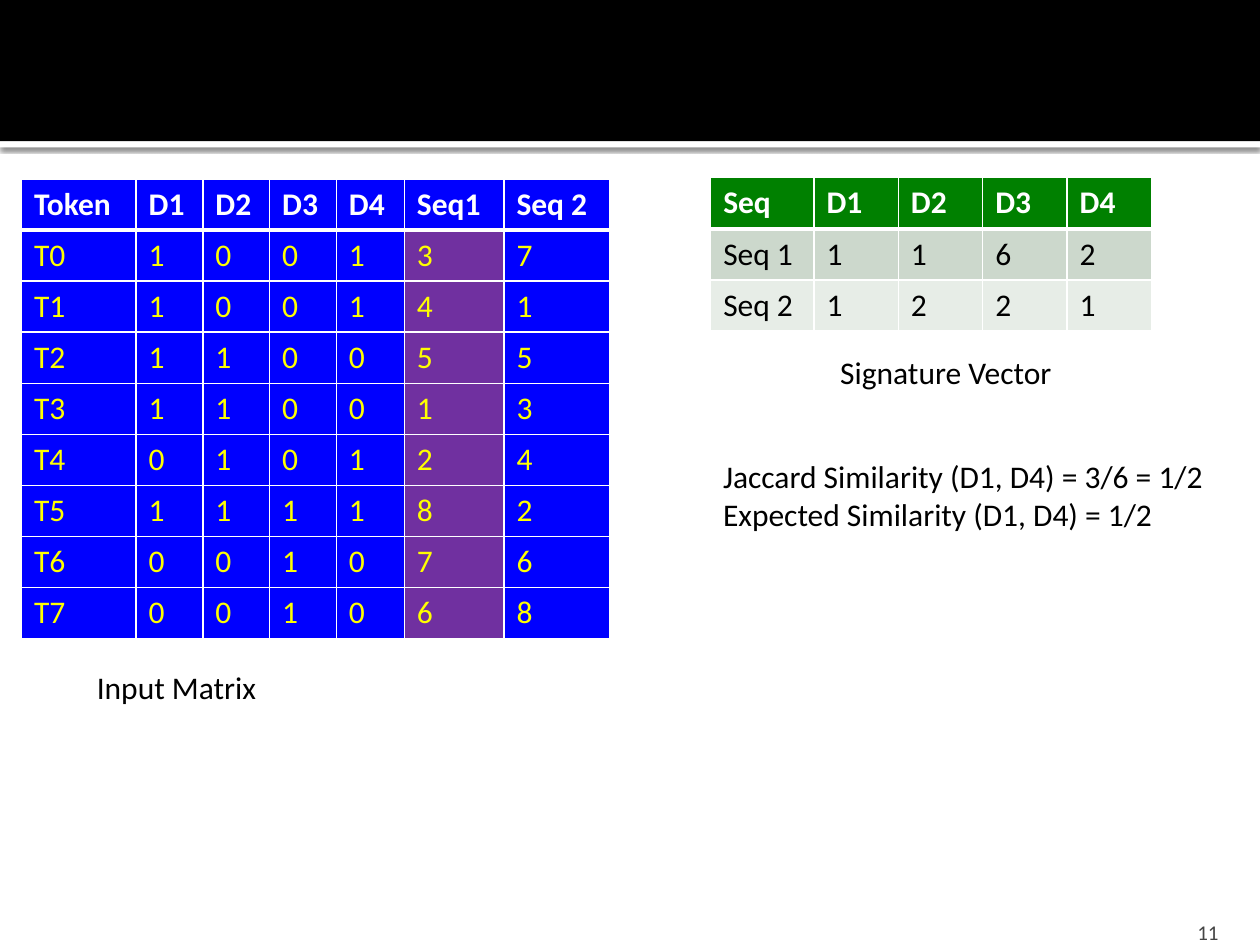
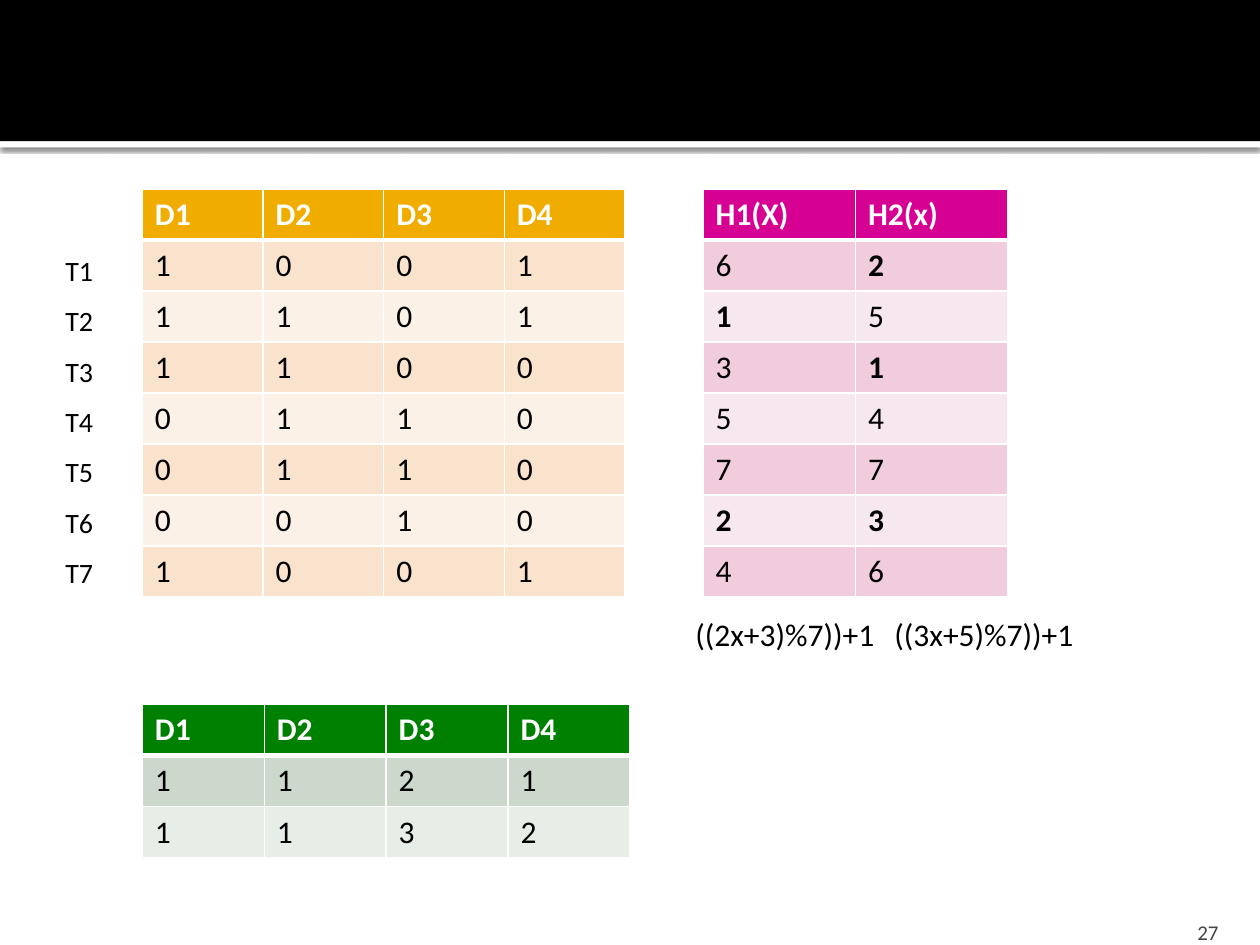
from lxml import etree
from pptx import Presentation, util as u
from pptx.dml.color import RGBColor
from pptx.enum import shapes, text
from pptx.oxml import ns, parse_xml

FONT = "Calibri"
COLORS = {
    "black": "000000", "white": "FFFFFF", "gray": "454545",
    "blue": "0000FF", "yellow": "FFFF00", "purple": "7030A0",
    "green": "008000", "green_dark": "CCD8CC", "green_light": "E7EDE7",
    "orange": "F0AD00", "orange_dark": "F9E3CC", "orange_light": "FCF1E7",
    "pink": "D60093", "pink_dark": "F0CCDC", "pink_light": "F7E7EE",
}
# Each table style: header fill followed by the alternating body fills.
GREEN = ("green", "green_dark", "green_light")
ORANGE = ("orange", "orange_dark", "orange_light")
PINK = ("pink", "pink_dark", "pink_light")
BLUE = ("blue", "blue", "blue")

INPUT_MATRIX = """Token,D1,D2,D3,D4,Seq1,Seq 2
T0,1,0,0,1,3,7
T1,1,0,0,1,4,1
T2,1,1,0,0,5,5
T3,1,1,0,0,1,3
T4,0,1,0,1,2,4
T5,1,1,1,1,8,2
T6,0,0,1,0,7,6
T7,0,0,1,0,6,8"""
SIGNATURES = """Seq,D1,D2,D3,D4
Seq 1,1,1,6,2
Seq 2,1,2,2,1"""
DOCUMENTS = """D1,D2,D3,D4
1,0,0,1
1,1,0,1
1,1,0,0
0,1,1,0
0,1,1,0
0,0,1,0
1,0,0,1"""
HASHES = """H1(X),H2(x)
6,2
1,5
3,1
5,4
7,7
2,3
4,6"""
MINIMUM_HASHES = {(1, 1), (2, 0), (3, 1), (6, 0), (6, 1)}
HASH_SIGNATURES = """D1,D2,D3,D4
1,1,2,1
1,1,3,2"""


def rgb(name):
    return RGBColor.from_string(COLORS[name])


def write(frame, content, size=18, color="black", bold=False, align=None, spacing=None):
    """Fill a text frame, one paragraph for each line of content."""
    for index, line in enumerate(content.split("\n")):
        para = frame.add_paragraph() if index else frame.paragraphs[0]
        para.alignment = align
        para.line_spacing = spacing
        span = para.add_run()
        span.text = line
        span.font.name = FONT
        span.font.size = u.Pt(size)
        span.font.bold = bold
        span.font.color.rgb = rgb(color)


def add_text(page, content, left, top, width, height, **style):
    box = page.shapes.add_textbox(*map(u.Inches, (left, top, width, height)))
    box.text_frame.word_wrap = True
    write(box.text_frame, content, **style)
    return box


def add_band(page, top, height, color):
    band = page.shapes.add_shape(
        shapes.MSO_SHAPE.RECTANGLE, *map(u.Inches, (0, top, 10, height)))
    band.shadow.inherit = False
    band.fill.solid()
    band.fill.fore_color.rgb = rgb(color)
    band.line.fill.background()
    return band


def add_drop_shadow(shape):
    effects = shape._element.spPr.find(ns.qn("a:effectLst"))
    effects.append(parse_xml(
        f'<a:outerShdw {ns.nsdecls("a")} blurRad="{u.Pt(2.5)}" dist="{u.Pt(0.8)}" '
        f'dir="5400000" algn="tl" rotWithShape="0"><a:srgbClr val="{COLORS["black"]}">'
        '<a:alpha val="60000"/></a:srgbClr></a:outerShdw>'))


def add_page(deck, number):
    """Add a blank page with the header bands and its page number."""
    page = deck.slides.add_slide(deck.slide_layouts[6])
    add_drop_shadow(add_band(page, 1.12, 0.05, "white"))
    add_band(page, 0, 1.12, "black")
    box = add_text(page, str(number), 8.97, 7.2, 0.8, 0.3, size=12, color="gray",
                   align=text.PP_ALIGN.RIGHT)
    box.text_frame.vertical_anchor = text.MSO_ANCHOR.BOTTOM
    box.text_frame.margin_bottom = 0
    return page


def set_borders(cell, row):
    """Draw white cell borders, thick between the header and the body."""
    properties = cell._tc.get_or_add_tcPr()
    widths = {"L": 1, "R": 1, "T": 3 if row == 1 else 1, "B": 3 if row == 0 else 1}
    for side, width in widths.items():
        line = etree.SubElement(properties, ns.qn(f"a:ln{side}"), w=str(u.Pt(width)))
        fill = etree.SubElement(line, ns.qn("a:solidFill"))
        etree.SubElement(fill, ns.qn("a:srgbClr"), val=COLORS["white"])


def add_grid(page, data, left, top, width, height, fills, columns=None,
             color="black", column_fills=None, bold_cells=()):
    """Add a table; column_fills maps a column to its body fill."""
    rows = [line.split(",") for line in data.split("\n")]
    table = page.shapes.add_table(
        len(rows), len(rows[0]), *map(u.Inches, (left, top, width, height))).table
    for column, column_width in zip(table.columns, columns or ()):
        column.width = u.Inches(column_width)
    header_fill, *body_fills = fills
    for row, values in enumerate(rows):
        for col, value in enumerate(values):
            cell = table.cell(row, col)
            header = row == 0
            body_fill = (column_fills or {}).get(col, body_fills[(row - 1) % 2])
            set_borders(cell, row)
            cell.fill.solid()
            cell.fill.fore_color.rgb = rgb(header_fill if header else body_fill)
            write(cell.text_frame, value, color="white" if header else color,
                  bold=header or (row, col) in bold_cells)


def build_signature_page(deck):
    page = add_page(deck, 11)
    add_grid(page, INPUT_MATRIX, 0.17, 1.42, 4.67, 3.65, BLUE,
             columns=[0.91, 0.53, 0.53, 0.53, 0.54, 0.79, 0.84],
             color="yellow", column_fills={5: "purple"})
    add_text(page, "Input Matrix", 0.67, 5.25, 3.42, 0.4)
    add_grid(page, SIGNATURES, 5.64, 1.41, 3.49, 1.22, GREEN,
             columns=[0.82] + [0.67] * 4)
    add_text(page, "Signature Vector", 6.57, 2.75, 3.42, 0.4)
    add_text(page, "Jaccard Similarity (D1, D4) = 3/6 = 1/2\n"
             "Expected Similarity (D1, D4) = 1/2", 5.64, 3.58, 4.14, 0.71)


def build_hash_page(deck):
    page = add_page(deck, 27)
    add_grid(page, DOCUMENTS, 1.13, 1.5, 3.83, 3.24, ORANGE)
    tokens = "\n".join(f"T{number}" for number in range(1, 8))
    add_text(page, tokens, 0.42, 1.83, 0.67, 3.2, size=16, spacing=1.5)
    add_grid(page, HASHES, 5.58, 1.5, 2.42, 3.24, PINK, bold_cells=MINIMUM_HASHES)
    for left, formula in ((5.42, "((2x+3)%7))+1"), (7, "((3x+5)%7))+1")):
        add_text(page, formula, left, 4.83, 2.25, 0.4)
    add_grid(page, HASH_SIGNATURES, 1.13, 5.59, 3.87, 1.22, GREEN)


def main():
    deck = Presentation()
    deck.slide_width = u.Inches(10)
    deck.slide_height = u.Inches(7.5)
    build_signature_page(deck)
    build_hash_page(deck)
    deck.save("out.pptx")


if __name__ == "__main__":
    main()
